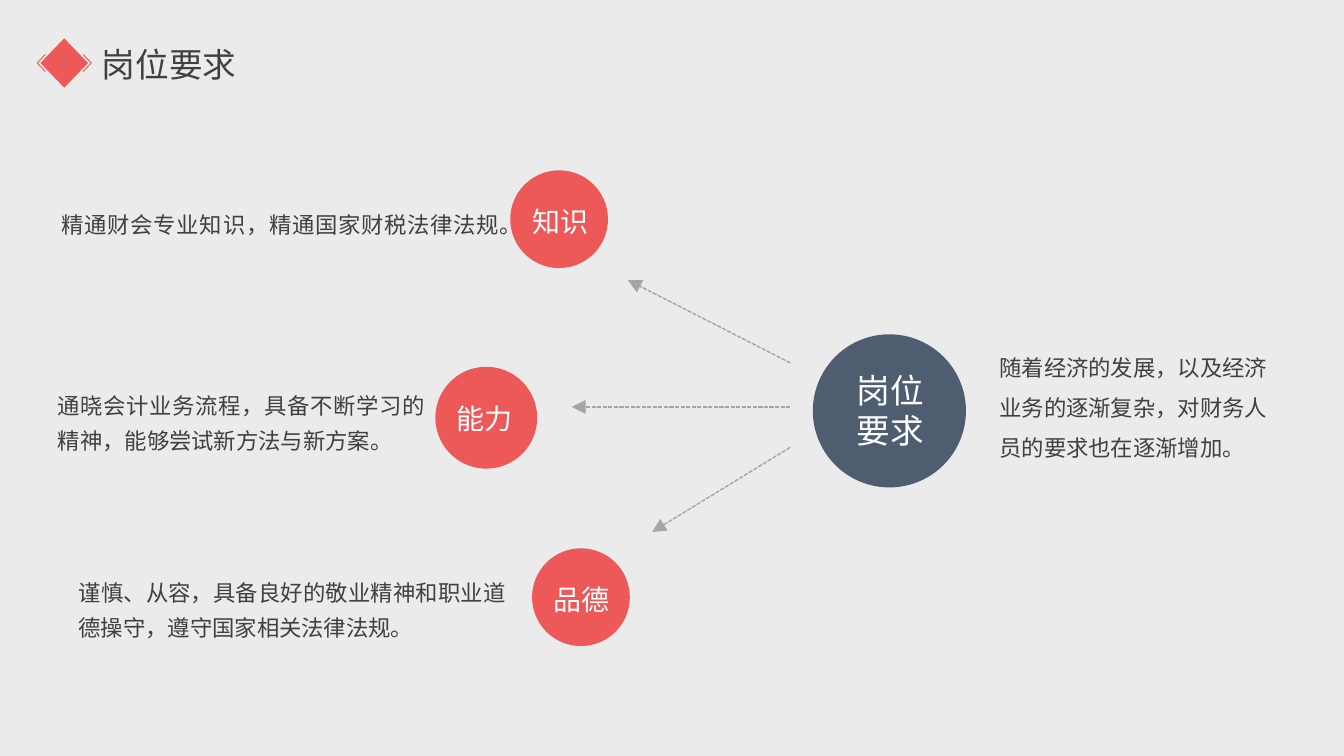
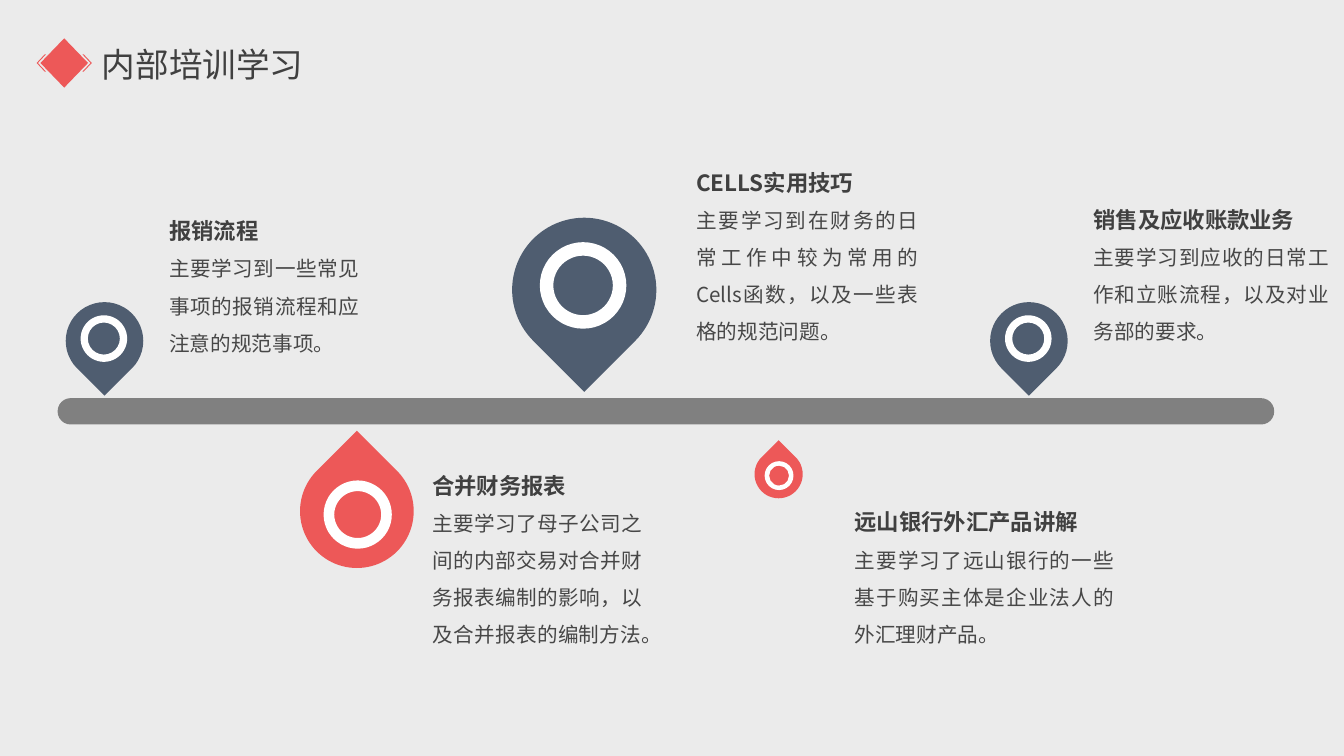
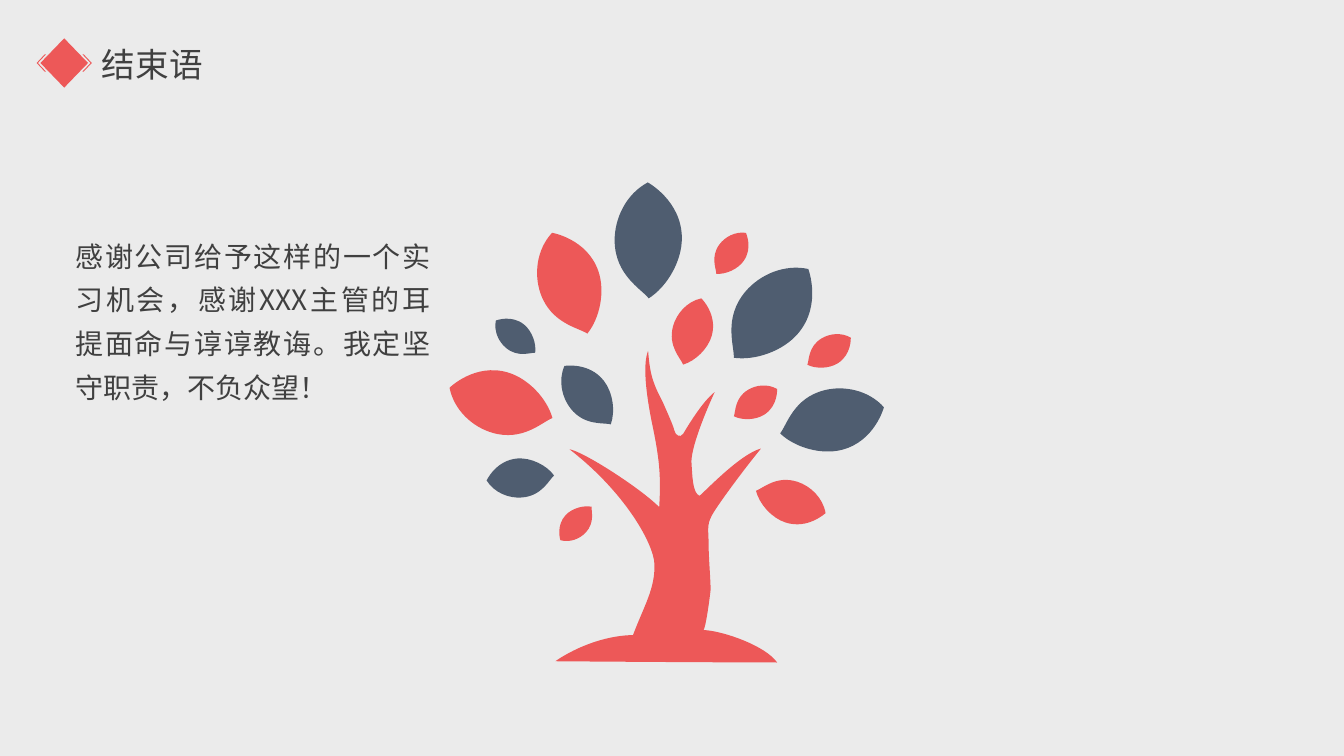
"""Builds three internship report slides: job requirements, training timeline and closing words."""
from lxml.etree import SubElement
from pptx import Presentation
from pptx.dml.color import RGBColor
from pptx.enum.dml import MSO_LINE
from pptx.enum.shapes import MSO_CONNECTOR, MSO_SHAPE
from pptx.enum.text import MSO_AUTO_SIZE, PP_ALIGN
from pptx.oxml.ns import qn
from pptx.util import Pt

FONT = "Noto Sans CJK SC"
BACKGROUND = RGBColor(0xEB, 0xEB, 0xEB)
RED = RGBColor(0xED, 0x58, 0x58)
NAVY = RGBColor(0x4F, 0x5D, 0x70)
WHITE = RGBColor(0xFF, 0xFF, 0xFF)
DARK = RGBColor(0x40, 0x40, 0x40)
BODY = RGBColor(0x47, 0x47, 0x47)
BAR = RGBColor(0x80, 0x80, 0x80)
ARROW = RGBColor(0xA5, 0xA5, 0xA5)

LEAF_CURVES = [
    (0, 0), (0.16, 0.29), (0.48, 0.29),
    (0.68, 0.29), (0.9, 0.16), (1, 0),
    (0.92, -0.06), (0.8, -0.29), (0.5, -0.29),
    (0.31, -0.29), (0.1, -0.19), (0, 0),
]
LEAVES = [
    (NAVY, (462.7, 130.3), (463.4, 213.1)),
    (NAVY, (577.4, 192.2), (524.2, 255.6)),
    (RED, (394.4, 166.3), (419.6, 238.3)),
    (RED, (321.1, 277), (394.6, 298.6)),
    (NAVY, (403.2, 261.4), (436.3, 303.1)),
    (RED, (501, 213.1), (488, 260.4)),
    (RED, (589.7, 366.5), (540, 350.6)),
    (NAVY, (347.6, 343.2), (395.8, 339.6)),
    (NAVY, (354.2, 229), (382.3, 252)),
    (RED, (555.1, 277.9), (524.2, 297.4)),
    (RED, (607.7, 241.2), (576.7, 260.6)),
    (RED, (532.8, 166.3), (511.7, 195.6)),
    (RED, (400.3, 385.9), (422.6, 362)),
    (NAVY, (631.4, 290.9), (557.3, 309.6)),
]
TRUNK_START = (396.7, 472.3)
TRUNK_CURVES = [
    (396.7, 472.3), (421.2, 454.3), (452.2, 453.6),
    (460.1, 432.7), (468, 420.5), (467.5, 403.2),
    (467.3, 388.8), (446.4, 351.4), (406.8, 320.9),
    (416.9, 322.6), (457.2, 348.5), (470.9, 362.2),
    (472.3, 339.1), (470.9, 326.9), (465.8, 302.4),
    (460.8, 277.9), (459.4, 259.2), (463, 250.6),
    (464.4, 270), (467.3, 275), (473.8, 288),
    (479.5, 301), (481, 304.6), (481.7, 307.4),
    (482.4, 311), (486, 313.2), (488.2, 309.6),
    (490.3, 306), (501.8, 286.6), (510.5, 280.1),
    (502.6, 297.4), (493.9, 319.7), (493.9, 329.8),
    (494.6, 339.8), (494.6, 352.1), (499.7, 354.2),
    (504, 350.6), (529.2, 324), (543.6, 320.4),
    (530.6, 336.2), (510.5, 363.6), (508.3, 368.6),
    (504.7, 375.1), (506.2, 379.4), (506.2, 388.8),
    (506.2, 398.2), (507.6, 414), (507.6, 421.2),
    (506.9, 428.4), (504, 448.6), (502.6, 450),
    (517, 450.7), (547.2, 461.5), (555.1, 473.2),
    (477.4, 473), (396.7, 472.3), (396.7, 472.3),
]


def paint(shape, color):
    shape.shadow.inherit = False
    shape.fill.solid()
    shape.fill.fore_color.rgb = color
    shape.line.fill.background()


def add_preset(page, kind, left, top, width, height, color):
    shape = page.shapes.add_shape(kind, Pt(left), Pt(top), Pt(width), Pt(height))
    paint(shape, color)
    return shape


def add_outline(page, contours, color):
    first, *others = [[(Pt(x), Pt(y)) for x, y in contour] for contour in contours]
    builder = page.shapes.build_freeform(*first[0])
    builder.add_line_segments(first[1:])
    for contour in others:
        builder.move_to(*contour[0])
        builder.add_line_segments(contour[1:])
    shape = builder.convert_to_shape()
    paint(shape, color)
    return shape


def add_curved_outline(page, start, curves, color):
    shape = add_outline(page, [[start, *curves]], color)
    outline = next(shape._element.iter(qn("a:path")))
    lines = outline.findall(qn("a:lnTo"))[:len(curves)]
    for index in range(0, len(curves), 3):
        curve = SubElement(outline, qn("a:cubicBezTo"))
        lines[index].addprevious(curve)
        for line in lines[index:index + 3]:
            curve.append(line[0])
            outline.remove(line)
    for leftover in outline.findall(qn("a:lnTo")):
        outline.remove(leftover)


def style_paragraph(para, text, size, color, bold=False, align=PP_ALIGN.LEFT, spacing=1.0):
    para.text = text
    para.alignment = align
    para.line_spacing = spacing
    for span in para.runs:
        span.font.size = Pt(size)
        span.font.bold = bold
        span.font.color.rgb = color
        span.font.name = FONT
        SubElement(span.font._element, qn("a:ea")).set("typeface", FONT)


def add_text_box(page, left, top, width, height, wrap=True):
    box = page.shapes.add_textbox(Pt(left), Pt(top), Pt(width), Pt(height))
    box.text_frame.word_wrap = wrap
    box.text_frame.auto_size = MSO_AUTO_SIZE.SHAPE_TO_FIT_TEXT
    return box.text_frame


def add_body(page, left, top, width, height, text, size=16, align=PP_ALIGN.JUSTIFY, spacing=1.3):
    frame = add_text_box(page, left, top, width, height)
    style_paragraph(frame.paragraphs[0], text, size, DARK, align=align, spacing=spacing)


def add_topic(page, left, top, width, height, heading, text,
              heading_align=PP_ALIGN.JUSTIFY, heading_spacing=1.5):
    frame = add_text_box(page, left, top, width, height)
    style_paragraph(frame.paragraphs[0], heading, 16, DARK, True, heading_align, heading_spacing)
    style_paragraph(frame.add_paragraph(), text, 14.7, BODY, False, PP_ALIGN.JUSTIFY, 1.5)


def add_label(page, left, top, width, height, text, size):
    frame = add_text_box(page, left, top, width, height)
    frame.margin_left = frame.margin_right = frame.margin_top = frame.margin_bottom = 0
    style_paragraph(frame.paragraphs[0], text, size, WHITE, align=PP_ALIGN.CENTER)


def add_arrow(page, start, end):
    arrow = page.shapes.add_connector(MSO_CONNECTOR.STRAIGHT, *map(Pt, start + end))
    arrow.line.color.rgb = ARROW
    arrow.line.width = Pt(1)
    arrow.line.dash_style = MSO_LINE.SQUARE_DOT
    properties = arrow._element.spPr
    head = SubElement(properties.find(qn("a:ln")), qn("a:tailEnd"))
    for name, value in (("type", "triangle"), ("w", "lg"), ("len", "lg")):
        head.set(name, value)
    SubElement(properties, qn("a:effectLst"))


def add_pin(page, left, top, size, color, points_down):
    drop = add_preset(page, MSO_SHAPE.TEAR, left, top, size, size, color)
    drop.rotation = 135 if points_down else 315
    ring_size = 0.6 * size
    shift = (-0.03 if points_down else 0.03) * size
    inset = (size - ring_size) / 2
    ring = add_preset(page, MSO_SHAPE.DONUT, left + inset + shift / 4, top + inset + shift,
                      ring_size, ring_size, WHITE)
    ring.adjustments[0] = 0.156
    ring.rotation = 0 if points_down else 180


def add_leaf(page, color, stem, tip):
    along_x, along_y = tip[0] - stem[0], tip[1] - stem[1]
    curves = [(stem[0] + along * along_x + across * along_y,
               stem[1] + along * along_y - across * along_x)
              for along, across in LEAF_CURVES]
    add_curved_outline(page, stem, curves, color)


def add_page(deck, title):
    page = deck.slides.add_slide(deck.slide_layouts[6])
    center_x, center_y = 45.9, 45
    chevron = [(13, -6.2), (13.9, -6.2), (19.7, 0), (13.9, 6.2), (13, 6.2), (18.8, 0)]
    diamond = [(0, -17.6), (17, 0), (0, 17.6), (-17, 0)]
    mirrored = [(-x, y) for x, y in chevron]
    add_outline(page, [[(center_x + x, center_y + y) for x, y in contour]
                       for contour in (chevron, mirrored, diamond)], RED)
    frame = add_text_box(page, 65.7, 28.1, 24 * len(title) + 14.4, 36, wrap=False)
    style_paragraph(frame.paragraphs[0], title, 24, DARK)
    return page


def build_requirements(deck):
    page = add_page(deck, "岗位要求")
    for start, end in [((564.5, 259.2), (448.4, 200)),
                       ((564.5, 319.5), (465.8, 380)),
                       ((564.5, 290.7), (408.4, 290.7))]:
        add_arrow(page, start, end)
    add_preset(page, MSO_SHAPE.OVAL, 580.6, 238.8, 109.4, 109.4, NAVY)
    add_label(page, 606.4, 264, 59, 58.3, "岗位要求", 24)
    for left, top, size, label_left, text in [(364.5, 121.7, 69.8, 346.3, "知识"),
                                              (311, 262, 72.7, 291.6, "能力"),
                                              (380.1, 391.7, 69.8, 360.9, "品德")]:
        add_preset(page, MSO_SHAPE.OVAL, left, top, size, size, RED)
        add_label(page, label_left, top + 24.5, 108.7, 24.5, text, 20)
    add_body(page, 36.8, 141.8, 327.9, 32.4, "精通财会专业知识，精通国家财税法律法规。")
    add_body(page, 34.2, 271.1, 276.5, 57.6, "通晓会计业务流程，具备不断学习的精神，能够尝试新方法与新方案。")
    add_body(page, 49, 404.2, 319.5, 57.6, "谨慎、从容，具备良好的敬业精神和职业道德操守，遵守国家相关法律法规。")
    add_body(page, 706.8, 239.5, 211.7, 94.3,
             "随着经济的发展，以及经济业务的逐渐复杂，对财务人员的要求也在逐渐增加。",
             align=PP_ALIGN.LEFT, spacing=1.5)


def build_training(deck):
    page = add_page(deck, "内部培训学习")
    bar = add_preset(page, MSO_SHAPE.ROUNDED_RECTANGLE, 41.2, 284.4, 869, 18.8, BAR)
    bar.adjustments[0] = 0.494
    for left, top, size in [(46.9, 215.8, 55.4), (365.8, 155.5, 103), (707.2, 215.8, 55.4)]:
        add_pin(page, left, top, size, NAVY, points_down=True)
    for left, top, size in [(214.3, 324.5, 81.2), (539, 321.5, 34.4)]:
        add_pin(page, left, top, size, RED, points_down=False)
    add_topic(page, 113.8, 142, 149.8, 116.6, "报销流程",
              "主要学习到一些常见事项的报销流程和应注意的规范事项。")
    add_topic(page, 301.7, 324, 163.8, 143.3, "合并财务报表",
              "主要学习了母子公司之间的内部交易对合并财务报表编制的影响，以及合并报表的编制方法。")
    add_topic(page, 490.3, 117, 172.8, 133.2, "CELLS实用技巧",
              "主要学习到在财务的日常工作中较为常用的Cells函数，以及一些表格的规范问题。",
              PP_ALIGN.LEFT, 1.0)
    add_topic(page, 603.4, 349.9, 199.4, 116.6, "远山银行外汇产品讲解",
              "主要学习了远山银行的一些基于购买主体是企业法人的外汇理财产品。")
    add_topic(page, 774, 133.9, 182.2, 116.6, "销售及应收账款业务",
              "主要学习到应收的日常工作和立账流程，以及对业务部的要求。")


def build_closing(deck):
    page = add_page(deck, "结束语")
    for color, stem, tip in LEAVES:
        add_leaf(page, color, stem, tip)
    add_curved_outline(page, TRUNK_START, TRUNK_CURVES, RED)
    add_body(page, 46.8, 160.1, 267.8, 133.2,
             "感谢公司给予这样的一个实习机会，感谢XXX主管的耳提面命与谆谆教诲。我定坚守职责，不负众望！",
             size=20)


def main():
    deck = Presentation()
    deck.slide_width, deck.slide_height = Pt(960), Pt(540)
    backdrop = deck.slide_master.background.fill
    backdrop.solid()
    backdrop.fore_color.rgb = BACKGROUND
    build_requirements(deck)
    build_training(deck)
    build_closing(deck)
    deck.save("out.pptx")


if __name__ == "__main__":
    main()
